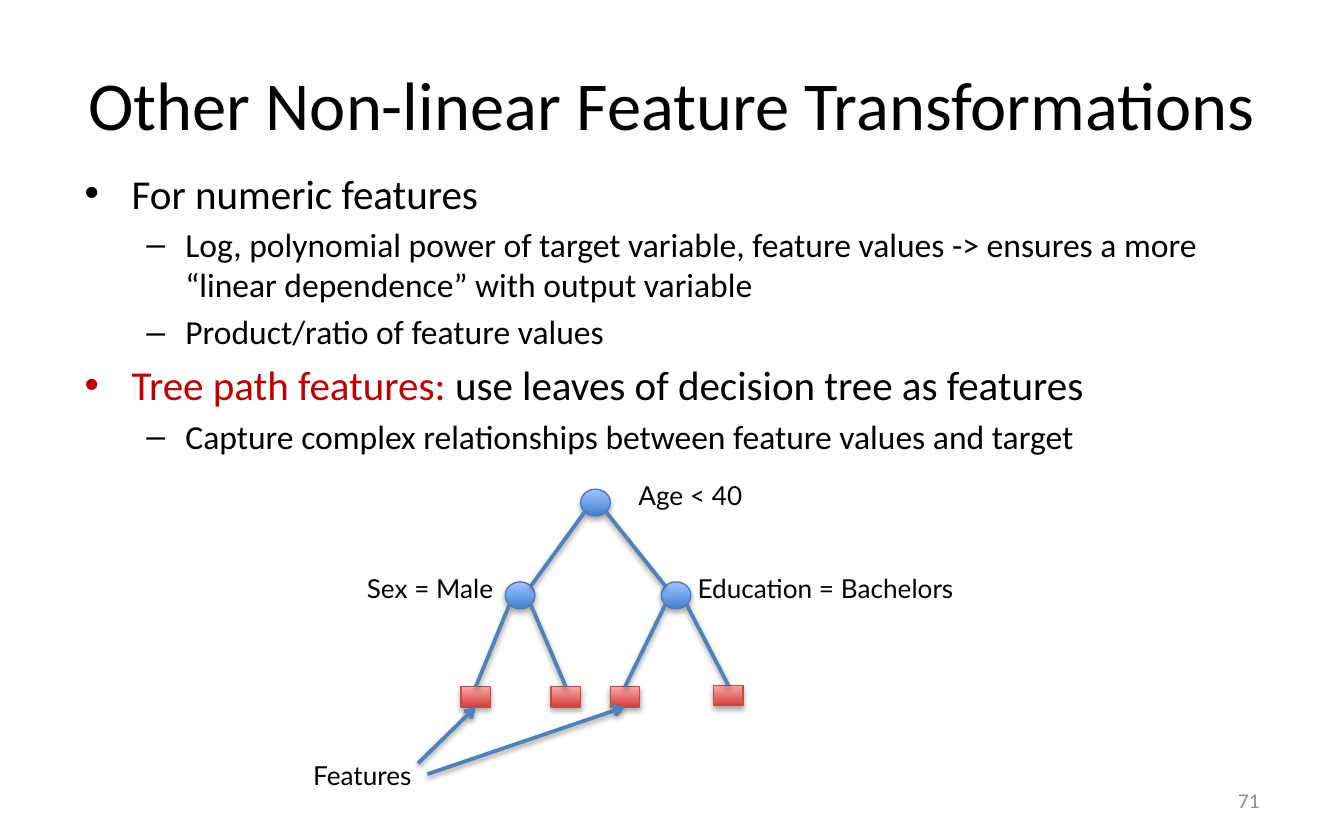
"""Build a slide on non-linear feature transformations with a decision tree."""
from lxml import etree
from pptx import Presentation
from pptx.dml.color import RGBColor
from pptx.enum.shapes import MSO_CONNECTOR, MSO_SHAPE
from pptx.enum.text import MSO_ANCHOR, MSO_AUTO_SIZE, PP_ALIGN
from pptx.oxml.ns import qn
from pptx.util import Pt

LEFT, CENTER, RIGHT = PP_ALIGN.LEFT, PP_ALIGN.CENTER, PP_ALIGN.RIGHT
TOP, MIDDLE = MSO_ANCHOR.TOP, MSO_ANCHOR.MIDDLE
FIT_TEXT, STRAIGHT = MSO_AUTO_SIZE.SHAPE_TO_FIT_TEXT, MSO_CONNECTOR.STRAIGHT
OVAL, RECTANGLE = MSO_SHAPE.OVAL, MSO_SHAPE.RECTANGLE
TOP_SIDE, BOTTOM_SIDE = 0, 2
PX = 9144
THEME = {
    "font": "Calibri", "label_font": "Lato",
    "title": 36.7, "levels": (22, 18), "label": 14, "number": 11.2,
    "text": "000000", "accent": "C00000", "muted": "8C8C8C", "edge": "4F81BD",
    "node": ("3F80CE", "A4C4FF", "4B7EBC"),
    "leaf": ("D1403C", "FFA6A5", "BF4C48"),
}


def add_text(box, paragraphs, size, font, color="text", align=LEFT, anchor=TOP,
             inset=(13, 7), wrap=True):
    shape = slide.shapes.add_textbox(*(value * PX for value in box))
    frame = shape.text_frame
    frame.word_wrap, frame.vertical_anchor = wrap, anchor
    if not wrap:
        frame.auto_size = FIT_TEXT
    frame.margin_left = frame.margin_right = inset[0] * PX
    frame.margin_top = frame.margin_bottom = inset[1] * PX
    for index, (level, runs) in enumerate(paragraphs):
        paragraph = frame.add_paragraph() if index else frame.paragraphs[0]
        paragraph.alignment = align
        points = size
        if level is not None:
            points = THEME["levels"][level]
            indent, hanging, bullet = ((35, 35, "•"), (75, 29, "–"))[level]
            properties = paragraph._p.get_or_add_pPr()
            properties.set("marL", str(indent * PX))
            properties.set("indent", str(-hanging * PX))
            etree.SubElement(properties, qn("a:buFont"), typeface="Arial")
            etree.SubElement(properties, qn("a:buChar"), char=bullet)
            paragraph.level = level
            if index:
                paragraph.space_before = Pt(points * 0.2)
        for text, run_color in runs:
            run = paragraph.add_run()
            run.text = text
            run.font.name, run.font.size = font, Pt(points)
            run.font.color.rgb = RGBColor.from_string(THEME[run_color or color])


def add_shadow(shape, distance, opacity):
    effects = etree.SubElement(shape._element.spPr, qn("a:effectLst"))
    shadow = etree.SubElement(effects, qn("a:outerShdw"), blurRad=str(Pt(3.1)),
                              dist=str(Pt(distance)), dir="5400000", rotWithShape="0")
    black = etree.SubElement(shadow, qn("a:srgbClr"), val="000000")
    etree.SubElement(black, qn("a:alpha"), val=str(opacity * 1000))


presentation = Presentation()
presentation.slide_width, presentation.slide_height = 1000 * PX, 625 * PX
slide = presentation.slides.add_slide(presentation.slide_layouts[6])

add_text((50, 25, 900, 104), [(None, [("Other Non-linear Feature Transformations", None)])],
         THEME["title"], THEME["font"], align=CENTER, anchor=MIDDLE)
add_text((50, 118, 900, 465), [
    (0, [("For numeric features", None)]),
    (1, [("Log, polynomial power of target variable, feature values -> ensures a more "
          "“linear dependence” with output variable", None)]),
    (1, [("Product/ratio of feature values", None)]),
    (0, [("Tree path features:", "accent"), (" use leaves of decision tree as features", None)]),
    (1, [("Capture complex relationships between feature values and target", None)]),
], None, THEME["font"])

tree = slide.shapes.add_group_shape()
nodes = {"age": (432, 364), "education": (492, 433), "sex": (376, 433)}
leaves = [(343, 511), (410, 511), (454, 511), (531, 510)]
parts = [(OVAL, "node", 20, place) for place in nodes.values()]
parts += [(RECTANGLE, "leaf", 15, place) for place in leaves]
leaf_shapes = []
for kind, role, height, (left, top) in parts:
    shape = tree.shapes.add_shape(kind, left * PX, top * PX, 22 * PX, height * PX)
    dark, light, outline = (RGBColor.from_string(value) for value in THEME[role])
    shape.fill.gradient()
    shape.fill.gradient_angle = 90
    for stop, color in zip(shape.fill.gradient_stops, (dark, light)):
        stop.color.rgb = color
    shape.line.color.rgb, shape.line.width = outline, Pt(0.75)
    add_shadow(shape, 1.8, 35)
    if role == "leaf":
        leaf_shapes.append(shape)

edges = []
for side, child in ((-1, "sex"), (1, "education")):
    (left, top), (child_left, child_top) = nodes["age"], nodes[child]
    edges.append((tree, (left + 11 + side * 8, top + 17),
                  (child_left + 11 - side * 8, child_top + 3), None, None))
for index, leaf in enumerate(leaf_shapes):
    left, top = nodes["sex" if index < 2 else "education"]
    side = 1 if index % 2 else -1
    edges.append((tree, (left + 11 + side * 8, top + 17), (0, 0), leaf, TOP_SIDE))
edges += [(slide, (311, 568), (0, 0), leaf_shapes[0], BOTTOM_SIDE),
          (slide, (318, 576), (0, 0), leaf_shapes[2], BOTTOM_SIDE)]
for parent, start, end, leaf, site in edges:
    connector = parent.shapes.add_connector(STRAIGHT, *(value * PX for value in start + end))
    if leaf is not None:
        connector.end_connect(leaf, site)
    connector.line.color.rgb = RGBColor.from_string(THEME["edge"])
    connector.line.width = Pt(2)
    if site == BOTTOM_SIDE:
        etree.SubElement(connector._element.spPr.find(qn("a:ln")), qn("a:tailEnd"), type="arrow")
    add_shadow(connector, 1.6, 38)

for text, left, top, width in (("Features", 226, 561, 92), ("Age < 40", 468, 353, 95),
                               ("Education = Bachelors", 512, 422, 211),
                               ("Sex = Male", 266, 422, 113)):
    add_text((left, top, width, 31), [(None, [(text, None)])], THEME["label"],
             THEME["label_font"], inset=(7, 4), wrap=False)
add_text((717, 579, 233, 33), [(None, [("71", None)])], THEME["number"], THEME["font"],
         "muted", RIGHT, MIDDLE)

presentation.save("out.pptx")
